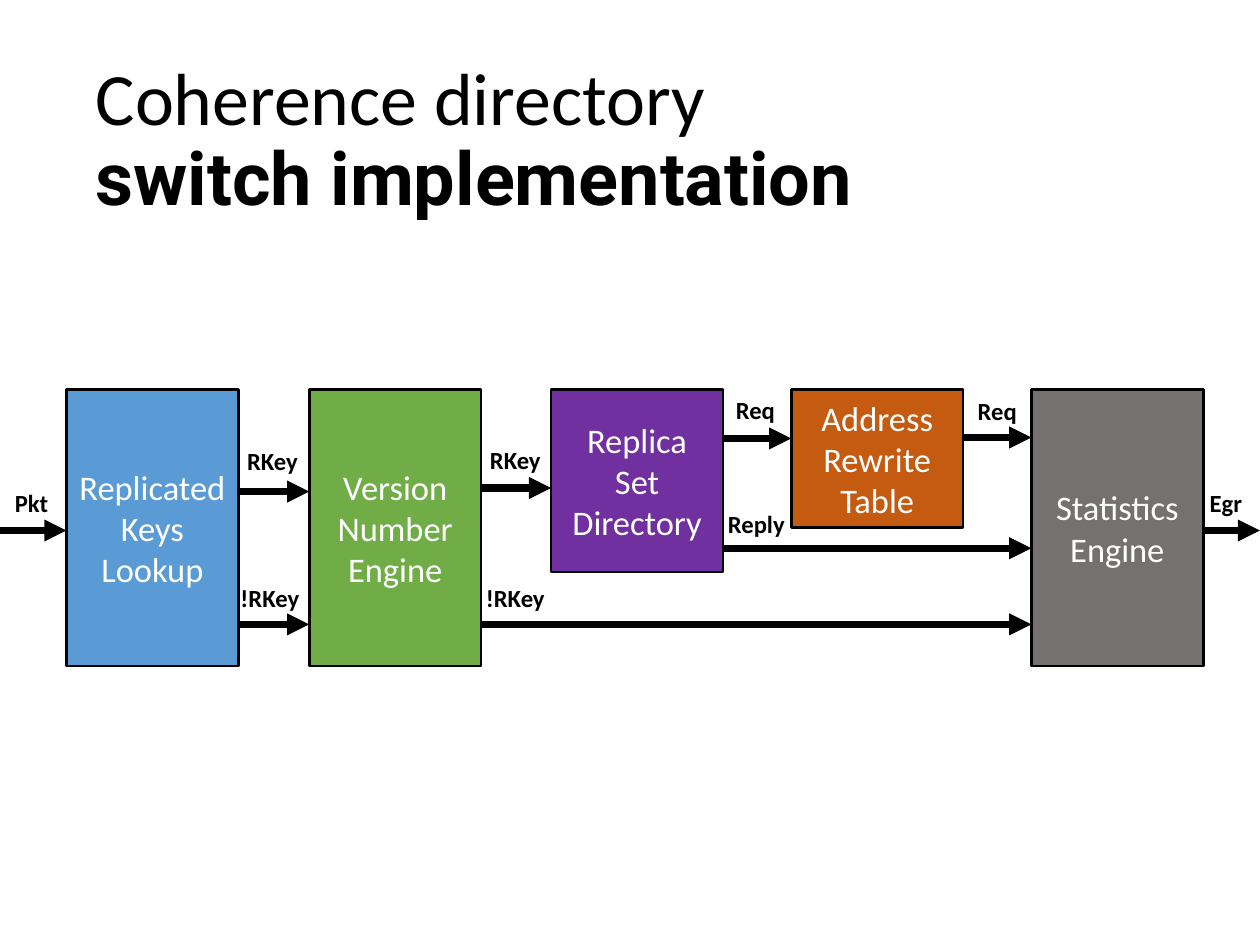
from dataclasses import dataclass

from lxml import etree
from pptx import Presentation
from pptx.dml.color import RGBColor
from pptx.enum.shapes import MSO_CONNECTOR, MSO_SHAPE
from pptx.enum.text import MSO_ANCHOR, MSO_AUTO_SIZE, PP_ALIGN
from pptx.oxml.ns import qn
from pptx.util import Inches, Pt

RECTANGLE = MSO_SHAPE.RECTANGLE
STRAIGHT = MSO_CONNECTOR.STRAIGHT
MIDDLE = MSO_ANCHOR.MIDDLE
NO_AUTOFIT = MSO_AUTO_SIZE.NONE
LEFT, CENTER = PP_ALIGN.LEFT, PP_ALIGN.CENTER
TEXT_MARGIN = 0.1


@dataclass(frozen=True)
class Theme:
    font: str = "Calibri"
    strong_font: str = "Roboto"
    title_size: int = 60
    stage_size: int = 28
    label_size: int = 20
    outline_width: float = 2.25
    arrow_width: float = 6
    black: str = "000000"
    white: str = "FFFFFF"
    blue: str = "5B9BD5"
    green: str = "70AD47"
    purple: str = "7030A0"
    orange: str = "C55A11"
    gray: str = "767171"


theme = Theme()


def style_text(text_frame, size, color, alignment, bold=False):
    text_frame.word_wrap = True
    for paragraph in text_frame.paragraphs:
        paragraph.alignment = alignment
        paragraph.font.name = theme.font
        paragraph.font.size = Pt(size)
        paragraph.font.bold = bold
        paragraph.font.color.rgb = RGBColor.from_string(color)


presentation = Presentation()
presentation.slide_width = Inches(14.22)
presentation.slide_height = Inches(10.67)
slide = presentation.slides.add_slide(presentation.slide_layouts[5])

title = slide.shapes.title
title.left, title.top = Inches(0.98), Inches(0.57)
title.width, title.height = Inches(12.27), Inches(2.06)
title.text_frame.auto_size = NO_AUTOFIT
title.text_frame.vertical_anchor = MIDDLE
title_paragraph = title.text_frame.paragraphs[0]
title_paragraph.line_spacing = 0.9
title_paragraph.add_run().text = "Coherence directory "
title_paragraph.add_line_break()
strong_run = title_paragraph.add_run()
strong_run.text = "switch implementation"
style_text(title.text_frame, theme.title_size, theme.black, LEFT)
strong_run.font.name = theme.strong_font
strong_run.font.bold = True

stage_top, stage_width, full_height = 4.4, 1.94, 3.12
lookup, version, directory, rewrite, statistics = 0.75, 3.49, 6.22, 8.93, 11.64
stages = [
    ("Replicated Keys Lookup", lookup, full_height, theme.blue),
    ("Version Number Engine", version, full_height, theme.green),
    ("Replica\nSet Directory", directory, 2.06, theme.purple),
    ("Address Rewrite Table", rewrite, 1.56, theme.orange),
    ("Statistics\nEngine", statistics, full_height, theme.gray),
]
for text, left, height, color in stages:
    stage = slide.shapes.add_shape(
        RECTANGLE, Inches(left), Inches(stage_top), Inches(stage_width), Inches(height))
    stage.shadow.inherit = False
    stage.fill.solid()
    stage.fill.fore_color.rgb = RGBColor.from_string(color)
    stage.line.color.rgb = RGBColor.from_string(theme.black)
    stage.line.width = Pt(theme.outline_width)
    stage.text_frame.text = text
    stage.text_frame.vertical_anchor = MIDDLE
    stage.text_frame.margin_left = stage.text_frame.margin_right = Inches(TEXT_MARGIN)
    style_text(stage.text_frame, theme.stage_size, theme.white, CENTER)

label_width, label_height = 0.89, 0.44
flows = [
    ("Pkt", 0, lookup, 5.99, -0.09, 5.46),
    ("RKey", lookup + stage_width, version, 5.55, 2.63, 4.99),
    ("!RKey", lookup + stage_width, version, 7.05, 2.6, 6.53),
    ("RKey", version + stage_width, directory, 5.51, 5.37, 4.98),
    ("!RKey", version + stage_width, statistics, 7.05, 5.37, 6.53),
    ("Req", directory + stage_width, rewrite, 4.95, 8.08, 4.41),
    ("Reply", directory + stage_width, statistics, 6.19, 8.09, 5.7),
    ("Req", rewrite + stage_width, statistics, 4.94, 10.81, 4.42),
    ("Egr", statistics + stage_width, 14.22, 5.99, 13.39, 5.46),
]
for text, start, end, height, label_left, label_top in flows:
    arrow = slide.shapes.add_connector(
        STRAIGHT, Inches(start), Inches(height), Inches(end), Inches(height))
    arrow.line.color.rgb = RGBColor.from_string(theme.black)
    arrow.line.width = Pt(theme.arrow_width)
    etree.SubElement(arrow.line._get_or_add_ln(), qn("a:tailEnd"), type="triangle")
    etree.SubElement(arrow._element.spPr, qn("a:effectLst"))

    label = slide.shapes.add_textbox(
        Inches(label_left), Inches(label_top), Inches(label_width), Inches(label_height))
    label.text_frame.text = text
    style_text(label.text_frame, theme.label_size, theme.black, CENTER, bold=True)

presentation.save("out.pptx")
